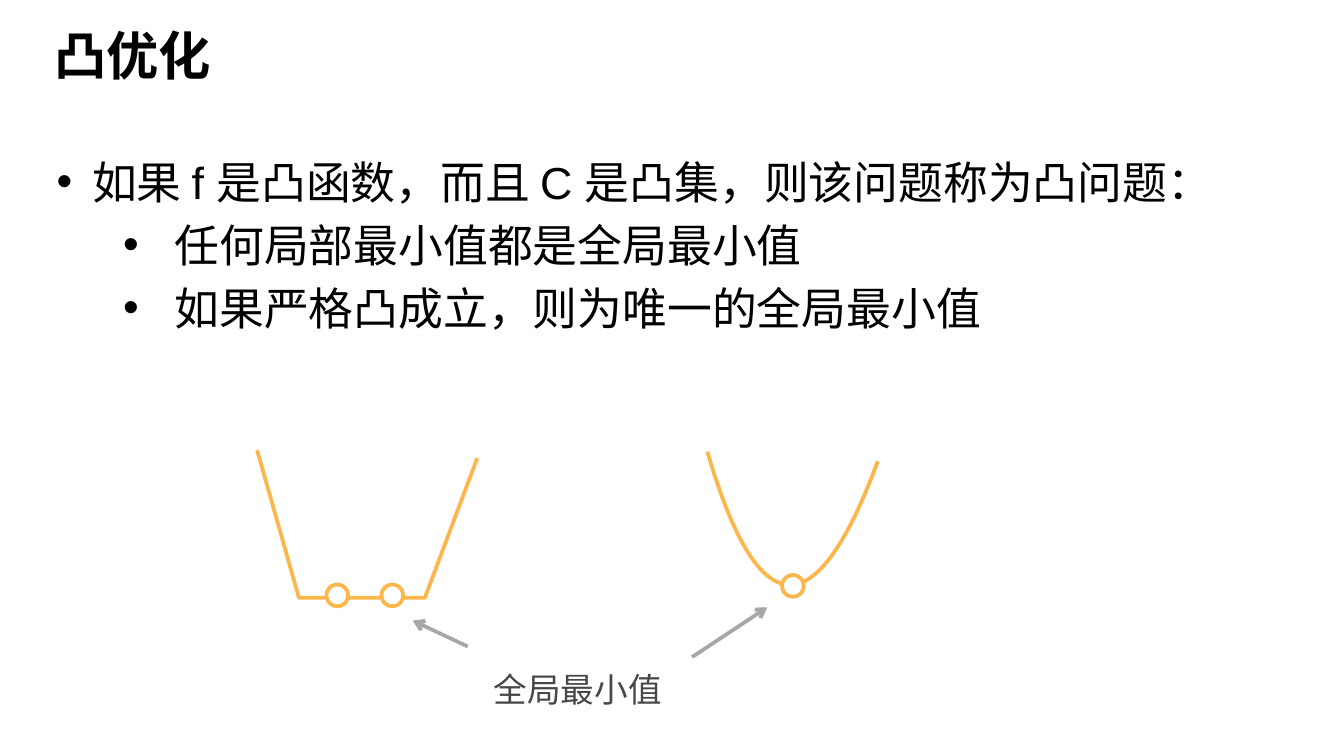
from dataclasses import dataclass

from lxml.etree import SubElement as Sub
from pptx import Presentation as Deck
from pptx.dml.color import RGBColor as Rgb
from pptx.enum.shapes import MSO_CONNECTOR as Link, MSO_SHAPE as Form
from pptx.enum.text import MSO_ANCHOR as Anchor, MSO_AUTO_SIZE as Fit
from pptx.oxml.ns import qn
from pptx.util import Cm, Pt


@dataclass(frozen=True)
class Theme:
    font: str = "Arial"
    ink: str = "000000"
    soft: str = "474746"
    curve: str = "FCB64C"
    arrow: str = "A7A7A7"
    paper: str = "FFFFFF"
    head: int = 28
    body: int = 24
    note: int = 18
    line: int = 2
    gap: int = 5
    inset: float = 0.13


class Page:
    """Draws styled elements on one slide."""

    def __init__(self, slide, theme):
        self.shapes = slide.shapes
        self.theme = theme

    def style(self, para, size, color, bold=False):
        font = para.font
        font.name, font.size, font.bold = self.theme.font, Pt(size), bold
        font.color.rgb = Rgb.from_string(color)

    def stroke(self, line, color):
        line.color.rgb = Rgb.from_string(color)
        line.width = Pt(self.theme.line)

    def frame(self, *box):
        frame = self.shapes.add_textbox(*map(Cm, box)).text_frame
        frame.word_wrap = True
        inset = Cm(self.theme.inset)
        frame.margin_left = frame.margin_right = inset
        frame.margin_top = frame.margin_bottom = inset
        return frame

    def title(self, text, *box):
        frame = self.frame(*box)
        frame.vertical_anchor = Anchor.MIDDLE
        frame.text = text
        self.style(frame.paragraphs[0], self.theme.head, self.theme.ink, True)

    def label(self, text, *box):
        frame = self.frame(*box)
        frame.word_wrap = False
        frame.auto_size = Fit.SHAPE_TO_FIT_TEXT
        frame.text = text
        self.style(frame.paragraphs[0], self.theme.note, self.theme.soft)

    def bullets(self, items, *box):
        frame = self.frame(*box)
        steps = [(0.67, 0.67), (2.23, 0.97)]
        for i, (level, text) in enumerate(items):
            para = frame.add_paragraph() if i else frame.paragraphs[0]
            para.text, para.level = text, level
            left, hang = steps[level]
            props = para._p.get_or_add_pPr()
            props.set("marL", str(Cm(left)))
            props.set("indent", str(-Cm(hang)))
            props.set("hangingPunct", "0")
            para.space_before = Pt(self.theme.gap if i else 0)
            Sub(props, qn("a:buFont"), typeface=self.theme.font)
            Sub(props, qn("a:buChar"), char="•")
            self.style(para, self.theme.body, self.theme.ink)

    def trace(self, points):
        first, *rest = [(Cm(x), Cm(y)) for x, y in points]
        pen = self.shapes.build_freeform(*first)
        pen.add_line_segments(rest, close=False)
        shape = pen.convert_to_shape()
        shape.shadow.inherit = False
        shape.fill.background()
        self.stroke(shape.line, self.theme.curve)

    def dot(self, left, top, size=0.41):
        shape = self.shapes.add_shape(Form.OVAL, *map(Cm, (left, top, size, size)))
        shape.shadow.inherit = False
        shape.fill.solid()
        shape.fill.fore_color.rgb = Rgb.from_string(self.theme.paper)
        self.stroke(shape.line, self.theme.curve)

    def arrow(self, *ends):
        link = self.shapes.add_connector(Link.STRAIGHT, *map(Cm, ends))
        self.stroke(link.line, self.theme.arrow)
        Sub(link.line._get_or_add_ln(), qn("a:tailEnd"), type="arrow")
        Sub(link._element.spPr, qn("a:effectLst"))


def bezier(a, b, c, d, steps=40):
    for i in range(steps + 1):
        t = i / steps
        u = 1 - t
        yield tuple(
            u**3 * p + 3 * u * u * t * q + 3 * u * t * t * r + t**3 * s
            for p, q, r, s in zip(a, b, c, d)
        )


def main():
    deck = Deck()
    deck.slide_width, deck.slide_height = Cm(25.4), Cm(14.29)
    page = Page(deck.slides.add_slide(deck.slide_layouts[6]), Theme())

    page.title("凸优化", 0.9, 0.27, 22.78, 1.52)
    items = [
        (0, "如果 f 是凸函数，而且 C 是凸集，则该问题称为凸问题："),
        (1, "任何局部最小值都是全局最小值"),
        (1, "如果严格凸成立，则为唯一的全局最小值"),
    ]
    page.bullets(items, 0.94, 2.79, 22.78, 5.74)

    page.trace(bezier((16.59, 8.72), (15.42, 11.89), (14.33, 11.84), (13.37, 8.54)))
    page.trace([(4.86, 8.51), (5.65, 11.3), (8.03, 11.3), (9.02, 8.66)])
    for spot in [(6.17, 11.05), (7.21, 11.05), (14.78, 10.87)]:
        page.dot(*spot)

    page.label("全局最小值", 9.2, 12.52, 3.45, 1.02)
    page.arrow(13.08, 12.42, 14.5, 11.48)
    page.arrow(8.84, 12.22, 7.8, 11.73)
    deck.save("out.pptx")


if __name__ == "__main__":
    main()
